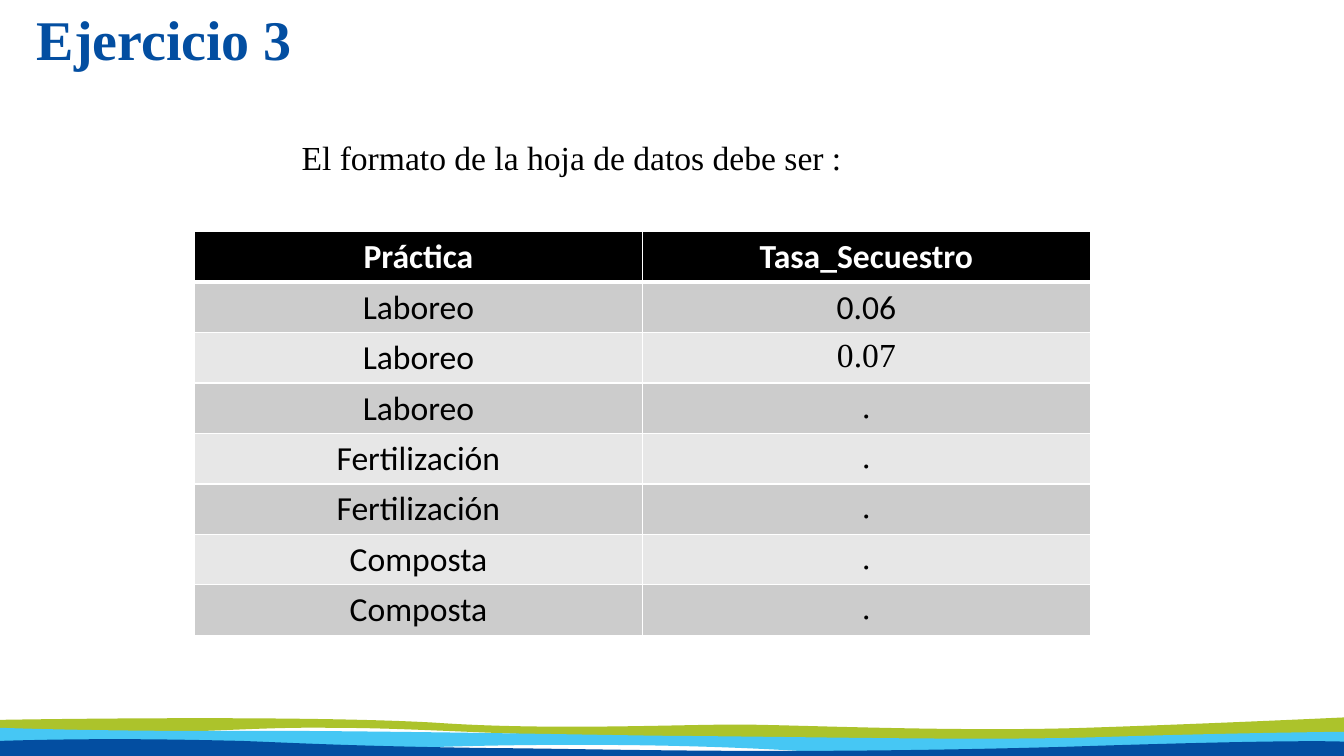
from lxml.etree import SubElement
from pptx import Presentation
from pptx.dml.color import RGBColor
from pptx.enum.text import MSO_ANCHOR, PP_ALIGN
from pptx.oxml.ns import qn
from pptx.util import Cm, Pt

COLORS = {
    "navy": "034EA1", "sky": "46C7F4", "green": "ACC32B",
    "black": "000000", "white": "FFFFFF",
    "odd": "CCCCCC", "even": "E7E7E7",
}
SERIF, SANS = "Times New Roman", "Calibri"

# Outlines in cm: a start point, then lines (2 numbers) and Bézier curves (6 numbers).
WAVES = [
    ("green", [
        (0, 18.14), (0, 18.14, 7.39, 18.01, 10.95, 18.21),
        (13.92, 18.42, 17.4, 18.24, 18.87, 18.26),
        (20.68, 18.29, 24.26, 18.44, 27.36, 18.34),
        (30.45, 18.24, 33.87, 18.08, 33.87, 18.08),
        (33.87, 18.57, 33.87, 18.57, 33.87, 18.57),
        (33.87, 18.57, 28.07, 18.69, 24.16, 18.67),
        (13.49, 18.67, 11.43, 18.34, 8.28, 18.34),
        (5.94, 18.31, 4.42, 18.57, 0, 18.44), (0, 18.14)]),
    ("sky", [
        (0, 18.34), (0, 18.34, 2.16, 18.42, 5.28, 18.42),
        (8.31, 18.39, 15.11, 18.52, 16.59, 18.54),
        (20.8, 18.57, 24.79, 18.67, 27.89, 18.57),
        (30.99, 18.47, 33.87, 18.44, 33.87, 18.44),
        (33.87, 18.85, 33.87, 18.85, 33.87, 18.85),
        (33.87, 18.85, 24.66, 19.2, 20.09, 18.92),
        (16.26, 18.69, 11.76, 18.75, 8.76, 18.92),
        (6.48, 19.08, 4.47, 18.69, 0, 18.82), (0, 18.34)]),
    ("navy", [
        (0, 18.67), (0, 19.15, 0, 19.15, 0, 19.15),
        (33.87, 19.15, 33.87, 19.15, 33.87, 19.15),
        (33.87, 18.69, 33.87, 18.69, 33.87, 18.69),
        (33.87, 18.69, 32.89, 18.62, 26.82, 18.82),
        (19.56, 19.02, 15.32, 18.87, 12.29, 18.85),
        (8.76, 18.8, 7.42, 18.72, 6.07, 18.67),
        (4.72, 18.64, 2.64, 18.59, 0, 18.67)]),
]

ROWS = [
    ("Práctica", "Tasa_Secuestro"),
    ("Laboreo", "0.06"),
    ("Laboreo", "0.07"),
    ("Laboreo", "."),
    ("Fertilización", "."),
    ("Fertilización", "."),
    ("Composta", "."),
    ("Composta", "."),
]


def rgb(name):
    return RGBColor.from_string(COLORS[name])


def format_run(r, size, font, color, bold=False):
    r.font.size = Pt(size)
    r.font.name = font
    r.font.bold = bold
    r.font.color.rgb = rgb(color)


def bend_segments(sp, segments):
    """Turn each three line steps that stand for a curve into one Bézier curve."""
    steps = iter(list(sp._element.iter(qn("a:lnTo"))))
    for segment in segments:
        first = next(steps)
        if len(segment) == 6:
            first.tag = qn("a:cubicBezTo")
            for _ in range(2):
                extra = next(steps)
                first.append(extra[0])
                extra.getparent().remove(extra)


def add_wave(s, color, outline):
    points = [(Cm(segment[i]), Cm(segment[i + 1]))
              for segment in outline for i in range(0, len(segment), 2)]
    builder = s.shapes.build_freeform(*points[0])
    builder.add_line_segments(points[1:])
    sp = builder.convert_to_shape()
    bend_segments(sp, outline[1:])
    sp.shadow.inherit = False
    sp.fill.solid()
    sp.fill.fore_color.rgb = rgb(color)
    sp.line.fill.background()


def add_text(s, text, left, top, width, height, size, color, bold=False):
    tf = s.shapes.add_textbox(Cm(left), Cm(top), Cm(width), Cm(height)).text_frame
    tf.word_wrap = True
    tf.text = text
    format_run(tf.paragraphs[0].runs[0], size, SERIF, color, bold)
    return tf


def add_title(s, text):
    tf = add_text(s, text, 0.93, 0.3, 32, 1.55, 40, "navy", bold=True)
    tf.margin_left = tf.margin_right = tf.margin_top = tf.margin_bottom = 0
    tf.vertical_anchor = MSO_ANCHOR.MIDDLE
    tf.paragraphs[0].line_spacing = 0.9


def set_borders(cell, widths):
    """Draw white borders; widths maps a side (L, R, T, B) to points."""
    tc_pr = cell._tc.get_or_add_tcPr()
    for index, (side, width) in enumerate(widths.items()):
        ln = SubElement(tc_pr, qn(f"a:ln{side}"), w=str(Pt(width)))
        tc_pr.insert(index, ln)
        fill = SubElement(ln, qn("a:solidFill"))
        SubElement(fill, qn("a:srgbClr"), val=COLORS["white"])


def fill_cell(cell, text, row, font):
    header = row == 0
    cell.text = text
    p = cell.text_frame.paragraphs[0]
    p.alignment = PP_ALIGN.CENTER
    format_run(p.runs[0], 24, font, "white" if header else "black", header)
    cell.fill.solid()
    cell.fill.fore_color.rgb = rgb("black" if header else "odd" if row % 2 else "even")
    set_borders(cell, {"L": 1, "R": 1, "T": 3 if row == 1 else 1, "B": 3 if header else 1})


def add_data_table(s, rows):
    frame = s.shapes.add_table(len(rows), 2, Cm(4.9), Cm(5.84), Cm(22.58), Cm(10.16))
    for i, values in enumerate(rows):
        frame.table.rows[i].height = Cm(1.03)
        for j, value in enumerate(values):
            serif = j == 1 and i >= 2
            fill_cell(frame.table.cell(i, j), value, i, SERIF if serif else SANS)
    frame.height = Cm(10.16)


def main():
    prs = Presentation()
    prs.slide_width, prs.slide_height = Cm(33.87), Cm(19.05)
    s = prs.slides.add_slide(prs.slide_layouts[6])
    for color, outline in WAVES:
        add_wave(s, color, outline)
    add_title(s, "Ejercicio 3")
    add_data_table(s, ROWS)
    add_text(s, "El formato de la hoja de datos debe ser :", 7.35, 3.32, 22.96, 1.27, 24, "black")
    prs.save("out.pptx")


if __name__ == "__main__":
    main()
